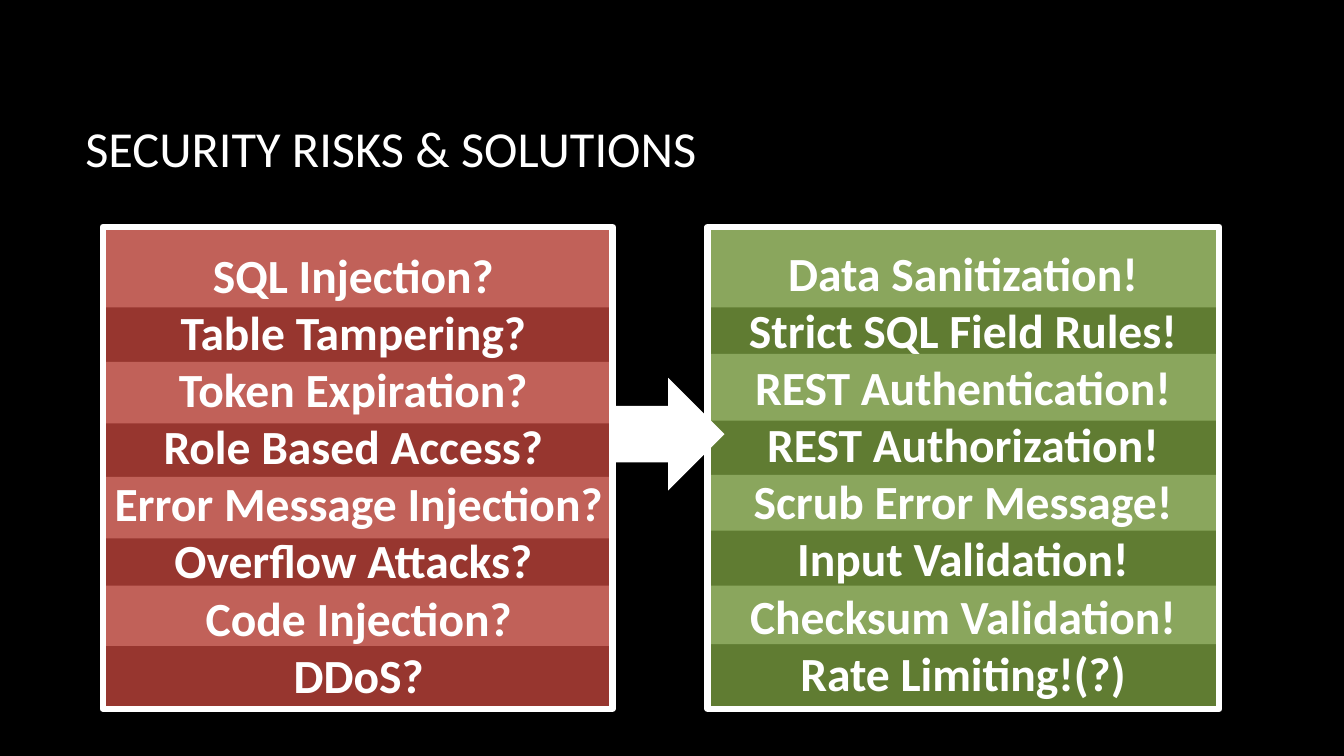
from collections import namedtuple

from lxml.etree import SubElement
from pptx import Presentation
from pptx.dml.color import RGBColor
from pptx.enum.shapes import MSO_SHAPE
from pptx.enum.text import MSO_ANCHOR, PP_ALIGN
from pptx.oxml.ns import qn
from pptx.util import Cm, Pt

BLACK = RGBColor(0x00, 0x00, 0x00)
WHITE = RGBColor(0xFF, 0xFF, 0xFF)
GRAY = RGBColor(0x80, 0x80, 0x80)
RED = RGBColor(0xE2, 0x52, 0x47)
GREEN = RGBColor(0x90, 0xBA, 0x4C)

Box = namedtuple("Box", "left top width height")

RISKS = [
    "SQL Injection? ",
    "Table Tampering? ",
    "Token Expiration? ",
    "Role Based Access? ",
    "Error Message Injection?",
    "Overflow Attacks? ",
    "Code Injection?",
    "DDoS?",
]
SOLUTIONS = [
    "Data Sanitization!",
    "Strict SQL Field Rules!",
    "REST Authentication!",
    "REST Authorization!",
    "Scrub Error Message!",
    "Input Validation!",
    "Checksum Validation!",
    "Rate Limiting!(?)",
]
RISK_STRIPES = [(0, 2.03), (3.4, 1.55), (6.3, 1.55), (9.04, 1.52)]
SOLUTION_STRIPES = [(0, 2.03), (3.2, 1.68), (6.25, 1.4), (9.04, 1.47)]


def add_filled(page, preset, box, color):
    shape = page.shapes.add_shape(preset, *map(Cm, box))
    shape.shadow.inherit = False
    shape.fill.solid()
    shape.fill.fore_color.rgb = color
    shape.line.fill.background()
    return shape


def add_text(page, box, lines, size, bold=False, align=PP_ALIGN.LEFT, anchor=MSO_ANCHOR.TOP):
    frame = page.shapes.add_textbox(*map(Cm, box)).text_frame
    frame.word_wrap = True
    frame.vertical_anchor = anchor
    frame.text = "\n".join(lines)
    for para in frame.paragraphs:
        para.alignment = align
        for span in para.runs:
            span.font.name = "Calibri"
            span.font.size = Pt(size)
            span.font.bold = bold
            span.font.color.rgb = WHITE


def add_title(page, box):
    add_text(page, box, ["SECURITY RISKS & SOLUTIONS"], 36, anchor=MSO_ANCHOR.MIDDLE)


def add_panel(page, box, color, stripes):
    for offset, height in stripes:
        stripe = Box(box.left, box.top + offset, box.width, height)
        add_filled(page, MSO_SHAPE.RECTANGLE, stripe, GRAY)
    panel = add_filled(page, MSO_SHAPE.RECTANGLE, box, color)
    panel.line.color.rgb = WHITE
    panel.line.width = Pt(4.5)
    tint = panel.fill._xPr.find(qn("a:solidFill"))[0]
    SubElement(tint, qn("a:alpha"), val="67000")


def add_arrow(page, box):
    add_filled(page, MSO_SHAPE.DOWN_ARROW, box, WHITE).rotation = 270


def add_list(page, box, lines):
    add_text(page, box, lines, 34, bold=True, align=PP_ALIGN.CENTER)


def main():
    deck = Presentation()
    deck.slide_width, deck.slide_height = Cm(33.87), Cm(19.05)
    page = deck.slides.add_slide(deck.slide_layouts[6])
    page.background.fill.solid()
    page.background.fill.fore_color.rgb = BLACK

    add_title(page, Box(1.9, 1.7, 28.14, 4.04))
    add_panel(page, Box(2.59, 5.72, 12.85, 12.14), RED, RISK_STRIPES)
    add_panel(page, Box(17.83, 5.72, 12.9, 12.14), GREEN, SOLUTION_STRIPES)
    add_arrow(page, Box(15.42, 9.52, 2.84, 2.84))
    add_list(page, Box(2.59, 6.07, 12.9, 11.89), RISKS)
    add_list(page, Box(17.88, 6.02, 12.78, 11.89), SOLUTIONS)
    deck.save("out.pptx")


if __name__ == "__main__":
    main()
